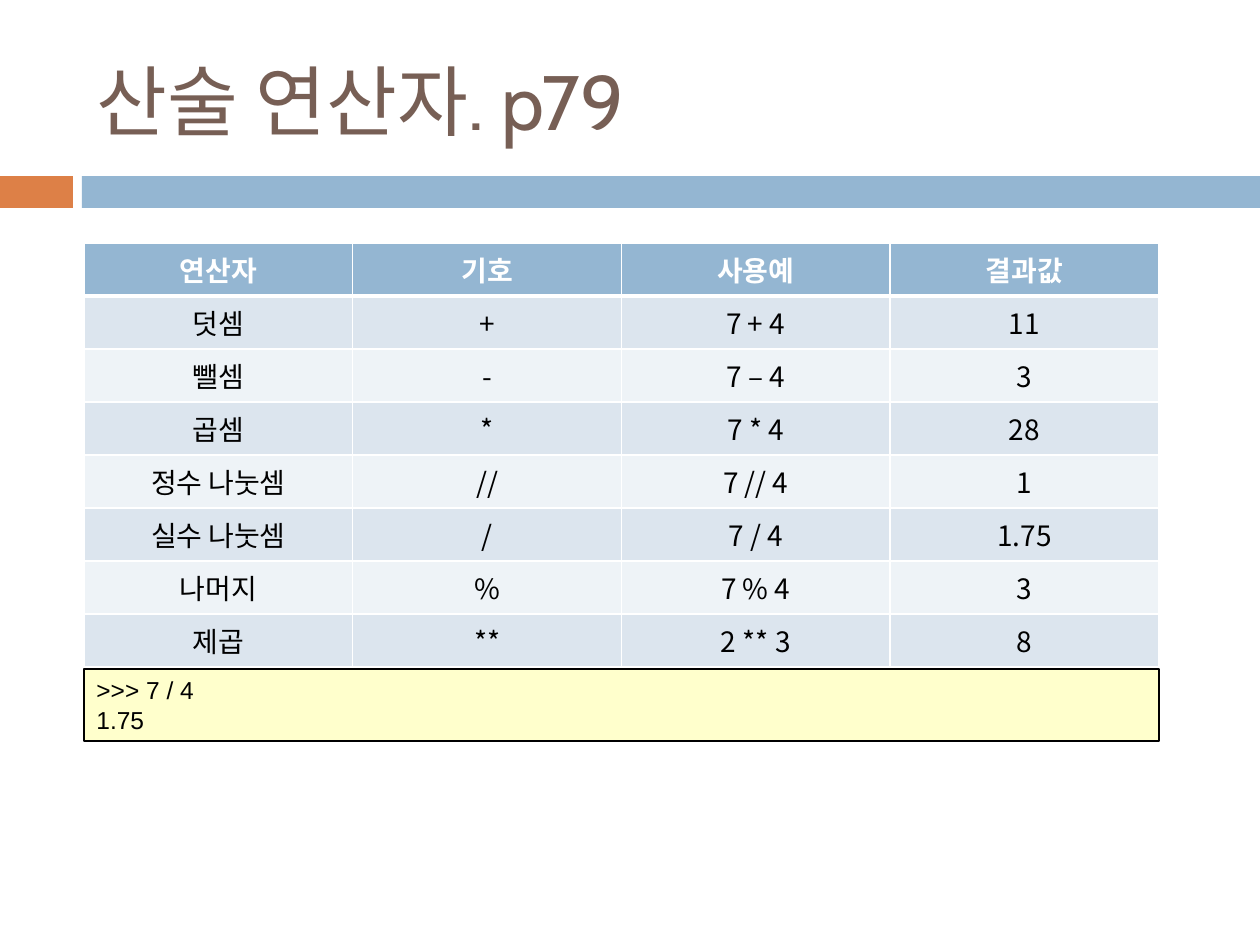
"""Build the slide on Python arithmetic operators."""
from lxml.etree import SubElement
from pptx import Presentation
from pptx.dml.color import RGBColor
from pptx.enum.shapes import MSO_SHAPE
from pptx.enum.text import MSO_ANCHOR, PP_ALIGN
from pptx.oxml.ns import qn
from pptx.util import Pt

EMU_PER_PX = 914400 / 126
COLOURS = {
    "title": "775F55",
    "orange": "DD8047",
    "blue": "94B6D2",
    "odd_row": "DCE5EE",
    "even_row": "EEF3F7",
    "code": "FFFFCC",
    "white": "FFFFFF",
    "black": "000000",
}
KOREAN_FONT = "Noto Sans CJK KR"
OPERATORS = [
    ["연산자", "기호", "사용예", "결과값"],
    ["덧셈", "+", "7 + 4", "11"],
    ["뺄셈", "-", "7 – 4", "3"],
    ["곱셈", "*", "7 * 4", "28"],
    ["정수 나눗셈", "//", "7 // 4", "1"],
    ["실수 나눗셈", "/", "7 / 4", "1.75"],
    ["나머지", "%", "7 % 4", "3"],
    ["제곱", "**", "2 ** 3", "8"],
]


def px(*lengths):
    return [round(length * EMU_PER_PX) for length in lengths]


def rgb(name):
    return RGBColor.from_string(COLOURS[name])


def write(frame, text, size, font=KOREAN_FONT, colour="black", bold=False, align=PP_ALIGN.LEFT):
    for index, line in enumerate(text.split("\n")):
        paragraph = frame.add_paragraph() if index else frame.paragraphs[0]
        paragraph.alignment = align
        run = paragraph.add_run()
        run.text = line
        run.font.size = Pt(size)
        run.font.name = font
        run.font.bold = bold
        run.font.color.rgb = rgb(colour)
        SubElement(run.font._element, qn("a:ea"), typeface=KOREAN_FONT)


class OperatorSlide:
    def __init__(self, presentation):
        self.slide = presentation.slides.add_slide(presentation.slide_layouts[5])

    def title(self, text, box):
        heading = self.slide.shapes.title
        heading.left, heading.top, heading.width, heading.height = px(*box)
        heading.text_frame.vertical_anchor = MSO_ANCHOR.MIDDLE
        write(heading.text_frame, text, 44, font="Cabin", colour="title")

    def rectangle(self, box, fill, line=None):
        rectangle = self.slide.shapes.add_shape(MSO_SHAPE.RECTANGLE, *px(*box))
        rectangle.shadow.inherit = False
        rectangle.fill.solid()
        rectangle.fill.fore_color.rgb = rgb(fill)
        if line:
            rectangle.line.color.rgb = rgb(line)
            rectangle.line.width = Pt(0.75)
        else:
            rectangle.line.fill.background()
        return rectangle

    def code(self, text, box):
        frame = self.rectangle(box, "code", line="black").text_frame
        frame.word_wrap = True
        frame.vertical_anchor = MSO_ANCHOR.TOP
        write(frame, text, 14, font="Arial")

    def border(self, cell, side, width):
        edge = SubElement(cell._tc.get_or_add_tcPr(), qn(f"a:ln{side}"), w=str(Pt(width)))
        fill = SubElement(edge, qn("a:solidFill"))
        SubElement(fill, qn("a:srgbClr"), val=COLOURS["white"])

    def table(self, rows, box):
        table = self.slide.shapes.add_table(len(rows), len(rows[0]), *px(*box)).table
        for row, values in enumerate(rows):
            header = row == 0
            fill = "blue" if header else "odd_row" if row % 2 else "even_row"
            for column, value in enumerate(values):
                cell = table.cell(row, column)
                for side in "LRTB":
                    under_header = (row, side) in [(0, "B"), (1, "T")]
                    self.border(cell, side, 3 if under_header else 1)
                cell.fill.solid()
                cell.fill.fore_color.rgb = rgb(fill)
                write(cell.text_frame, value, 16, colour="white" if header else "black",
                      bold=header, align=PP_ALIGN.CENTER)


def main():
    presentation = Presentation()
    presentation.slide_width, presentation.slide_height = px(1260, 945)
    page = OperatorSlide(presentation)
    page.rectangle((0, 176, 73, 32), "orange")
    page.rectangle((82, 176, 1178, 32), "blue")
    page.title("산술 연산자. p79", (84, 32, 1124, 136))
    page.code(">>> 7 / 4\n1.75", (84, 669, 1075, 72))
    page.table(OPERATORS, (84, 243, 1075, 387))
    presentation.save("out.pptx")


if __name__ == "__main__":
    main()
